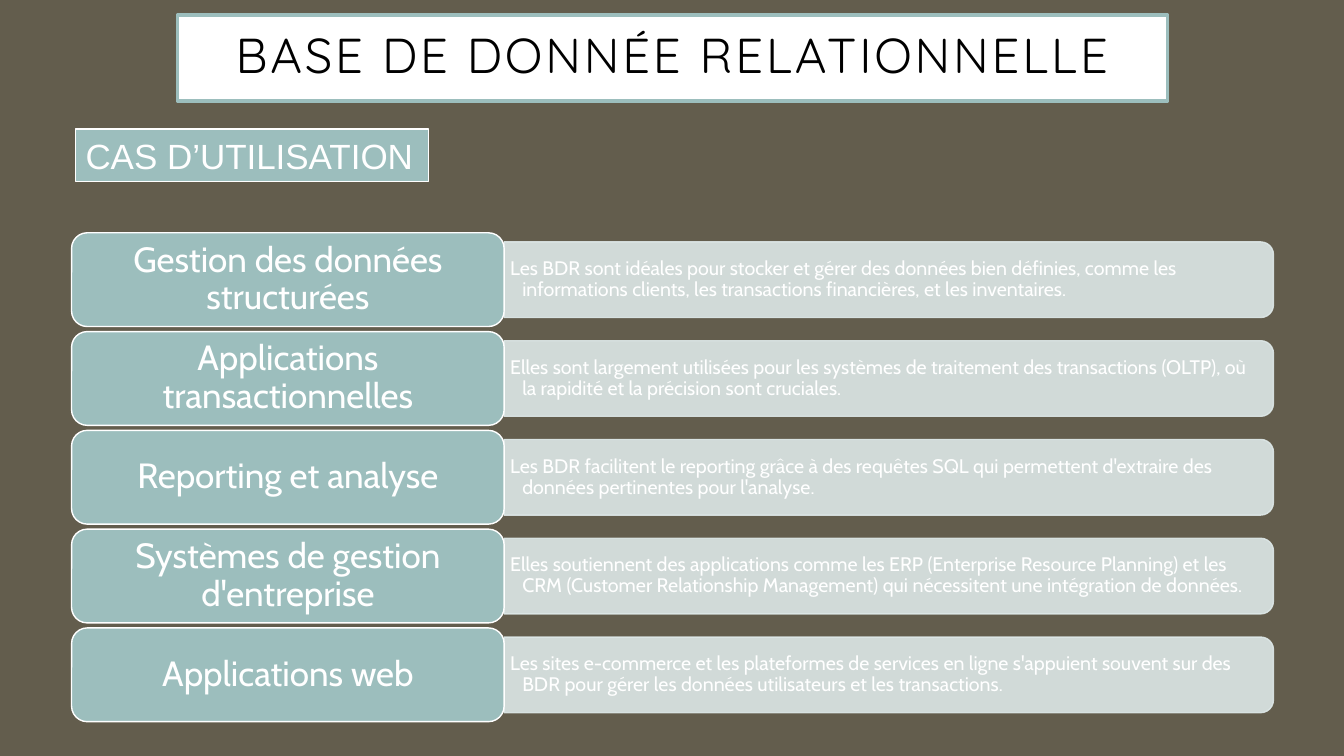
from lxml import etree
from pptx import Presentation
from pptx import util as u
from pptx.dml.color import RGBColor
from pptx.enum import shapes, text
from pptx.oxml.ns import qn

COLORS = {"background": "635D4D", "teal": "9CBEBD", "pale": "DEE8E8",
          "white": "FFFFFF", "black": "000000"}
USE_CASES = [
    ("Gestion des données structurées",
     "Les BDR sont idéales pour stocker et gérer des données bien définies, comme les informations clients, les transactions financières, et les inventaires."),
    ("Applications transactionnelles",
     "Elles sont largement utilisées pour les systèmes de traitement des transactions (OLTP), où la rapidité et la précision sont cruciales."),
    ("Reporting et analyse",
     "Les BDR facilitent le reporting grâce à des requêtes SQL qui permettent d'extraire des données pertinentes pour l'analyse."),
    ("Systèmes de gestion d'entreprise",
     "Elles soutiennent des applications comme les ERP (Enterprise Resource Planning) et les CRM (Customer Relationship Management) qui nécessitent une intégration de données."),
    ("Applications web",
     "Les sites e-commerce et les plateformes de services en ligne s'appuient souvent sur des BDR pour gérer les données utilisateurs et les transactions."),
]

presentation = Presentation()
presentation.slide_width = u.Inches(13.33)
presentation.slide_height = u.Inches(7.5)
slide = presentation.slides.add_slide(presentation.slide_layouts[6])
slide.background.fill.solid()
slide.background.fill.fore_color.rgb = RGBColor.from_string(COLORS["background"])


def add_box(kind, left, top, width, height, fill, line, line_width=1):
    shape = slide.shapes.add_shape(kind, *map(u.Inches, (left, top, width, height)))
    shape.shadow.inherit = False
    shape.fill.solid()
    shape.fill.fore_color.rgb = RGBColor.from_string(COLORS[fill])
    shape.line.color.rgb = RGBColor.from_string(COLORS[line])
    shape.line.width = u.Pt(line_width)
    return shape


def write(shape, words, size, font, color, align, margins, spacing=0.9):
    frame = shape.text_frame
    frame.word_wrap = True
    frame.vertical_anchor = text.MSO_ANCHOR.MIDDLE
    frame.margin_left = frame.margin_right = u.Inches(margins[0])
    frame.margin_top = frame.margin_bottom = u.Inches(margins[1])
    paragraph = frame.paragraphs[0]
    paragraph.alignment = align
    paragraph.line_spacing = spacing
    run = paragraph.add_run()
    run.text = words
    run.font.size = u.Pt(size)
    run.font.name = font
    run.font.color.rgb = RGBColor.from_string(COLORS[color])
    return paragraph


LEFT, CENTER = text.PP_ALIGN.LEFT, text.PP_ALIGN.CENTER
BAR_LEFT, BAR_LENGTH, BAR_HEIGHT = 5, 7.63, 0.75
LABEL_HEIGHT, ROW_STEP = 0.93, 0.98

for row, (label, detail) in enumerate(USE_CASES):
    top = 2.31 + row * ROW_STEP
    middle = top + LABEL_HEIGHT / 2

    bar = add_box(shapes.MSO_SHAPE.ROUND_2_SAME_RECTANGLE,
                  BAR_LEFT + (BAR_LENGTH - BAR_HEIGHT) / 2, middle - BAR_LENGTH / 2,
                  BAR_HEIGHT, BAR_LENGTH, "pale", "pale")
    bar.rotation = 90
    for color in bar._element.spPr.iter(qn("a:srgbClr")):
        etree.SubElement(color, qn("a:alpha"), val="90000")

    detail_box = slide.shapes.add_textbox(
        u.Inches(BAR_LEFT), u.Inches(middle - 0.335), u.Inches(7.59), u.Inches(0.67))
    paragraph = write(detail_box, detail, 14, "Cabin", "white", LEFT, (0.06, 0.03))
    properties = paragraph._p.get_or_add_pPr()
    properties.set("marL", str(u.Inches(0.12)))
    properties.set("indent", str(u.Inches(-0.12)))

    label_box = add_box(shapes.MSO_SHAPE.ROUNDED_RECTANGLE, 0.71, top, 4.29,
                        LABEL_HEIGHT, "teal", "white")
    write(label_box, label, 25, "Cabin", "white", CENTER, (0.14, 0.09))

title = add_box(shapes.MSO_SHAPE.RECTANGLE, 1.76, 0.15, 9.82, 0.85, "white", "teal", 2.5)
paragraph = write(title, "BASE DE DONNÉE RELATIONNELLE", 35, "Quicksand", "black",
                  CENTER, (0.2, 0.2))
paragraph.runs[0].font._element.set("spc", "200")

heading = add_box(shapes.MSO_SHAPE.RECTANGLE, 0.75, 1.28, 3.5, 0.52, "teal", "white")
write(heading, "CAS D’UTILISATION", 25, "Arial", "white", LEFT, (0.1, 0.05), 1)

presentation.save("out.pptx")
